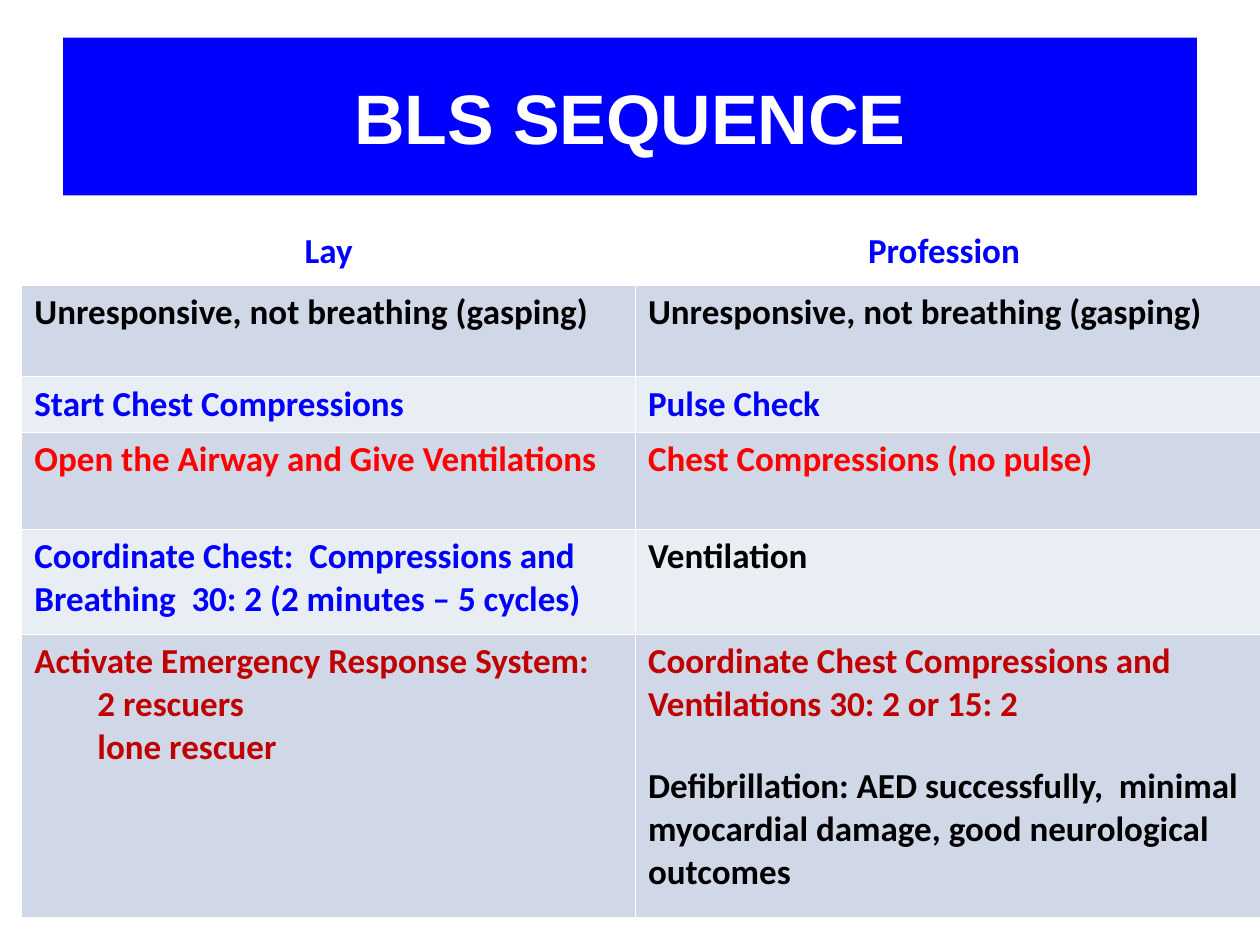
from lxml import etree
from pptx import Presentation
from pptx.dml.color import RGBColor
from pptx.enum.text import MSO_ANCHOR, PP_ALIGN
from pptx.oxml.ns import qn
from pptx.util import Cm, Pt

CENTER, LEFT = PP_ALIGN.CENTER, PP_ALIGN.LEFT
MIDDLE = MSO_ANCHOR.MIDDLE
TITLE_ONLY = 5

COLORS = {
    "blue": "0000FF",
    "red": "FF0000",
    "dark red": "C00000",
    "black": "000000",
    "white": "FFFFFF",
    "dark band": "D0D8E8",
    "light band": "E9EDF4",
}

COLUMN_WIDTHS = [12.37, 12.6]
ROW_HEIGHTS = [1.22, 1.85, 1.12, 1.96, 2.11, 5.72]
SUB_INDENT = Cm(1.27)
BLOCK_GAP = Pt(22.5)

# Each cell is a list of (text, colour, indent, space before)
STEPS = [
    [[("Lay", "blue", 0, 0)], [("Profession ", "blue", 0, 0)]],
    [[("Unresponsive, not breathing (gasping)", "black", 0, 0)]] * 2,
    [[("Start Chest Compressions", "blue", 0, 0)],
     [("Pulse Check", "blue", 0, 0)]],
    [[("Open the Airway and Give Ventilations", "red", 0, 0)],
     [("Chest Compressions (no pulse)", "red", 0, 0)]],
    [[("Coordinate Chest:  Compressions and Breathing  30: 2 "
       "(2 minutes – 5 cycles)", "blue", 0, 0)],
     [("Ventilation", "black", 0, 0)]],
    [[("Activate Emergency Response System:", "dark red", 0, 0),
      ("2 rescuers", "dark red", SUB_INDENT, 0),
      ("lone rescuer", "dark red", SUB_INDENT, 0)],
     [("Coordinate Chest Compressions and Ventilations 30: 2 or 15: 2",
       "dark red", 0, 0),
      ("Defibrillation: AED successfully,  minimal myocardial damage, "
       "good neurological outcomes", "black", 0, BLOCK_GAP)]],
]


def color(name):
    return RGBColor.from_string(COLORS[name])


def style_font(paragraph, face, size, color_name):
    font = paragraph.font
    font.name, font.size, font.bold = face, Pt(size), True
    font.color.rgb = color(color_name)


def add_border(cell, side, width):
    line = etree.SubElement(cell._tc.get_or_add_tcPr(), qn(f"a:ln{side}"),
                            w=str(Pt(width)))
    fill = etree.SubElement(line, qn("a:solidFill"))
    etree.SubElement(fill, qn("a:srgbClr"), val=COLORS["white"])


def build_title(slide, left, top, width, height):
    title = slide.shapes.title
    title.left, title.top, title.width, title.height = left, top, width, height
    title.fill.solid()
    title.fill.fore_color.rgb = color("blue")
    title.text_frame.text = "BLS SEQUENCE"
    title.text_frame.vertical_anchor = MIDDLE
    heading = title.text_frame.paragraphs[0]
    heading.alignment = CENTER
    style_font(heading, "Arial", 40, "white")


def fill_cell(cell, lines, row):
    # Borders: heavier rule between the header and the steps
    for side in "LRTB":
        heavy = (row, side) in ((0, "B"), (1, "T"))
        add_border(cell, side, 1.47 if heavy else 0.45)
    band = "white" if row == 0 else "dark band" if row % 2 else "light band"
    cell.fill.solid()
    cell.fill.fore_color.rgb = color(band)

    # Text
    frame = cell.text_frame
    frame.text = "\n".join(text for text, *_ in lines)
    for paragraph, (_, tone, indent, gap) in zip(frame.paragraphs, lines):
        paragraph.alignment = LEFT if row else CENTER
        if indent:
            paragraph.level = 1
            properties = paragraph._p.get_or_add_pPr()
            properties.set("marL", str(indent))
            properties.set("indent", "0")
        if gap:
            paragraph.space_before = gap
        style_font(paragraph, "Calibri", 20, tone)


def build_steps(slide, left, top, width, height):
    table = slide.shapes.add_table(len(STEPS), len(COLUMN_WIDTHS),
                                   left, top, width, height).table
    for column, size in zip(table.columns, COLUMN_WIDTHS):
        column.width = Cm(size)
    for row, size in zip(table.rows, ROW_HEIGHTS):
        row.height = Cm(size)
    for r, step in enumerate(STEPS):
        for c, lines in enumerate(step):
            fill_cell(table.cell(r, c), lines, r)


def main():
    prs = Presentation()
    prs.slide_width, prs.slide_height = Cm(25.4), Cm(19.05)
    slide = prs.slides.add_slide(prs.slide_layouts[TITLE_ONLY])
    build_title(slide, Cm(1.27), Cm(0.76), Cm(22.86), Cm(3.18))
    build_steps(slide, Cm(0.44), Cm(4.52),
                Cm(sum(COLUMN_WIDTHS)), Cm(sum(ROW_HEIGHTS)))
    prs.save("out.pptx")


if __name__ == "__main__":
    main()
